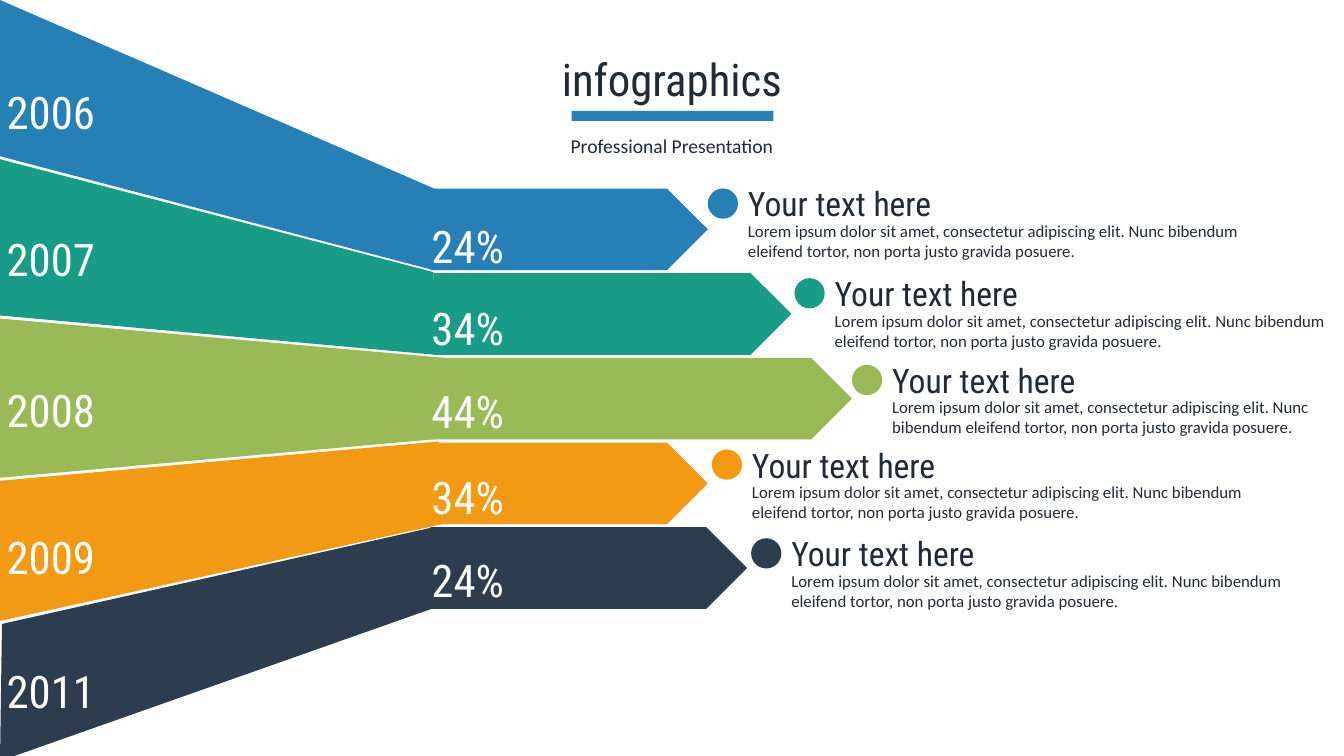
import pptx
import pptx.dml.color
import pptx.enum.shapes
import pptx.enum.text
import pptx.util

Inches = pptx.util.Inches
SHAPE = pptx.enum.shapes.MSO_SHAPE
ALIGN = pptx.enum.text.PP_ALIGN

BLUE, TEAL, GREEN, ORANGE, NAVY = "267FB5", "189C87", "9ABA58", "F39A14", "2D3D50"
WHITE, INK = "FFFFFF", "222A35"
HEADING_FONT, BODY_FONT = "Roboto Condensed", "Calibri"
LOREM = ("Lorem ipsum dolor sit amet, consectetur adipiscing elit. "
         "Nunc bibendum eleifend tortor, non porta justo gravida posuere.")
ARROW_TOP, ARROW_PITCH, ARROW_HEIGHT = 1.87, 0.84, 0.81
DOT = 0.3

# year, year top, share, share top, colour, arrow left, arrow tip,
# dot left, dot top, body width, band corners (None: symmetric trapezoid)
ROWS = [
    ("2006", 0.79, "24%", 2.12, BLUE, 4.27, 7.02, 7.02, 1.87, 5.21,
     [(0, 0), (4.35, 1.89), (4.3, 2.68), (0, 1.55)]),
    ("2007", 2.25, "34%", 2.93, TEAL, 4.3, 7.85, 7.88, 2.76, 5.21,
     [(0, 1.58), (4.3, 2.7), (4.32, 3.52), (0, 3.13)]),
    ("2008", 3.75, "44%", 3.76, GREEN, 3.15, 8.45, 8.45, 3.62, 4.47, None),
    ("2009", 5.21, "34%", 4.61, ORANGE, 4.27, 7.02, 7.06, 4.46, 5.21,
     [(0, 4.77), (4.35, 4.38), (4.43, 5.19), (0, 6.16)]),
    ("2011", 6.54, "24%", 5.43, NAVY, 4.27, 7.41, 7.45, 5.34, 5.21,
     [(0.02, 6.19), (4.3, 5.23), (4.31, 6.03), (0, 7.55)]),
]


def rgb(value):
    return pptx.dml.color.RGBColor.from_string(value)


class Canvas:
    """Holds the current slide and draws flat shapes and text on it."""

    def __init__(self, slide):
        self.slide = slide

    def paint(self, shape, color):
        shape.shadow.inherit = False
        shape.fill.solid()
        shape.fill.fore_color.rgb = rgb(color)
        shape.line.fill.background()
        return shape

    def shape(self, kind, left, top, width, height, color):
        shape = self.slide.shapes.add_shape(
            kind, Inches(left), Inches(top), Inches(width), Inches(height))
        return self.paint(shape, color)

    def polygon(self, corners, color):
        points = [(Inches(x), Inches(y)) for x, y in corners]
        builder = self.slide.shapes.build_freeform(*points[0])
        builder.add_line_segments(points[1:], close=True)
        return self.paint(builder.convert_to_shape(), color)

    def text(self, words, left, top, width, height, size,
             font=HEADING_FONT, color=INK, align=ALIGN.LEFT):
        box = self.slide.shapes.add_textbox(
            Inches(left), Inches(top), Inches(width), Inches(height))
        frame = box.text_frame
        frame.word_wrap = True
        frame.auto_size = pptx.enum.text.MSO_AUTO_SIZE.SHAPE_TO_FIT_TEXT
        frame.text = words
        paragraph = frame.paragraphs[0]
        paragraph.alignment = align
        run_font = paragraph.runs[0].font
        run_font.size = pptx.util.Pt(size)
        run_font.name = font
        run_font.color.rgb = rgb(color)

    def callout(self, left, top, body_width, color):
        text_left = left + DOT
        self.text(LOREM, text_left, top + 0.27, body_width, 0.5, 12, BODY_FONT)
        self.text("Your text here", text_left, top - 0.1, 3.17, 0.5, 24)
        self.shape(SHAPE.OVAL, left, top, DOT, DOT, color)


def main():
    presentation = pptx.Presentation()
    presentation.slide_width = Inches(13.33)
    presentation.slide_height = Inches(7.5)
    canvas = Canvas(presentation.slides.add_slide(presentation.slide_layouts[6]))

    # Bands, arrows, labels and callouts, one row per year
    for index, row in enumerate(ROWS):
        (year, year_top, share, share_top, color, arrow_left, arrow_tip,
         dot_left, dot_top, body_width, corners) = row
        if corners:
            canvas.polygon(corners, color)
        else:
            band = canvas.shape(SHAPE.TRAPEZOID, 1.44, 1.72, 1.58, 4.46, color)
            band.rotation = 90
        canvas.shape(SHAPE.PENTAGON, arrow_left, ARROW_TOP + index * ARROW_PITCH,
                     arrow_tip - arrow_left, ARROW_HEIGHT, color)
        canvas.text(year, -0.14, year_top, 1.29, 0.37, 32,
                    color=WHITE, align=ALIGN.CENTER)
        canvas.text(share, 4.12, share_top, 1.04, 0.37, 32,
                    color=WHITE, align=ALIGN.CENTER)
        canvas.callout(dot_left, dot_top, body_width, color)

    # Title block
    canvas.text("infographics", 0, 0.46, 13.33, 0.64, 32, align=ALIGN.CENTER)
    canvas.text("Professional Presentation", 0.68, 1.28, 11.97, 0.34, 14,
                BODY_FONT, align=ALIGN.CENTER)
    canvas.shape(SHAPE.RECTANGLE, 5.67, 1.1, 2, 0.1, BLUE)

    presentation.save("out.pptx")


if __name__ == "__main__":
    main()
